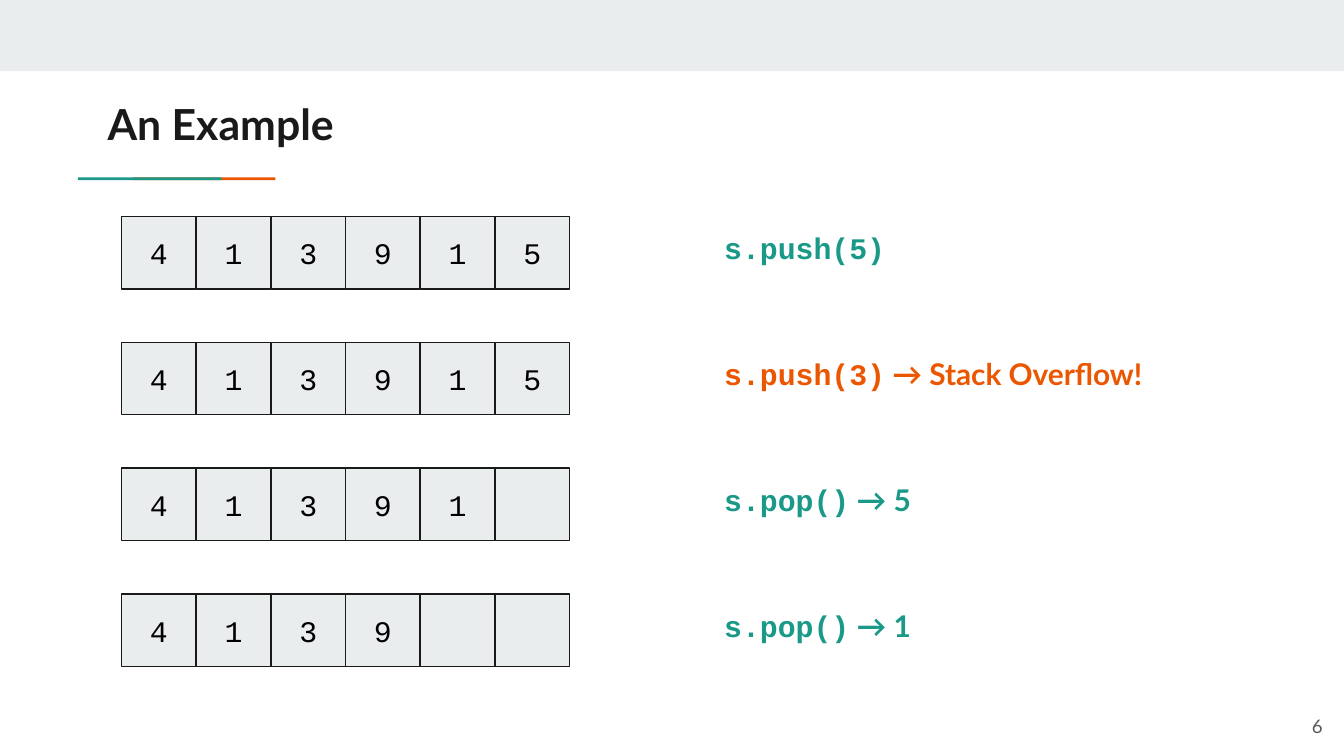
from pptx import Presentation
from pptx.dml.color import RGBColor
from pptx.enum.shapes import MSO_SHAPE as Shape
from pptx.enum.text import MSO_ANCHOR as Anchor, PP_ALIGN as Align
from pptx.util import Inches, Pt

TEAL, ORANGE, INK, PALE = "1A9988", "EB5600", "1A1A1A", "E9EDEE"
SANS, MONO = "Lato", "Courier New"
WIDTH = 10
HEIGHT = WIDTH * 9 / 16

TITLE = "An Example"
PAGE = "6"
CAPACITY = 6
STEPS = [
    ("413915", "s.push(5)", "", TEAL),
    ("413915", "s.push(3)", " → Stack Overflow!", ORANGE),
    ("41391", "s.pop()", " → 5", TEAL),
    ("4139", "s.pop()", " → 1", TEAL),
]
ACCENTS = [(0.99, 1.06, ORANGE), (0.58, 1.07, TEAL)]

CELL_PITCH = WIDTH / 18
STACK_LEFT = 1.46 - CELL_PITCH
FIRST_TOP, LAST_TOP = 1.61, 4.42
STEP_PITCH = (LAST_TOP - FIRST_TOP) / (len(STEPS) - 1)
CELL_HEIGHT = 0.54
CALL_LEFT, CALL_WIDTH = 5.29, 4.25


def color(value):
    return RGBColor.from_string(value)


def set_font(font, face, size, ink, bold=False):
    font.name, font.size, font.bold = face, Pt(size), bold
    font.color.rgb = color(ink)


def add_rect(shapes, left, top, width, height, fill, outline=None):
    rect = shapes.add_shape(Shape.RECTANGLE, *map(Inches, (left, top, width, height)))
    rect.shadow.inherit = False
    rect.fill.solid()
    rect.fill.fore_color.rgb = color(fill)
    if outline:
        rect.line.color.rgb = color(outline)
        rect.line.width = Pt(0.75)
    else:
        rect.line.fill.background()
    return rect


def set_frame(frame, side=0.1, anchor=Anchor.TOP, align=Align.LEFT):
    frame.word_wrap = True
    frame.margin_left = frame.margin_right = Inches(side)
    frame.margin_top = frame.margin_bottom = Inches(0.1)
    frame.vertical_anchor = anchor
    paragraph = frame.paragraphs[0]
    paragraph.alignment = align
    return paragraph


def add_text(shapes, left, top, width, height, **layout):
    box = shapes.add_textbox(*map(Inches, (left, top, width, height)))
    return set_frame(box.text_frame, **layout)


def add_step(slide, top, values, call, result, ink):
    shapes = slide.shapes.add_group_shape().shapes
    for column, value in enumerate(values.ljust(CAPACITY)):
        cell = add_rect(shapes, STACK_LEFT + column * CELL_PITCH, top,
                        CELL_PITCH, CELL_HEIGHT, PALE, INK)
        if value.strip():
            digit = set_frame(cell.text_frame, anchor=Anchor.MIDDLE, align=Align.CENTER)
            digit.text = value
            set_font(digit.font, MONO, 16, "000000")
    operation = add_text(shapes, CALL_LEFT, top, CALL_WIDTH, CELL_HEIGHT)
    for words, face in ((call, MONO), (result, SANS)):
        if words:
            run = operation.add_run()
            run.text = words
            set_font(run.font, face, 16, ink, bold=True)


def main():
    deck = Presentation()
    deck.slide_width, deck.slide_height = Inches(WIDTH), Inches(HEIGHT)
    slide = deck.slides.add_slide(deck.slide_layouts[6])

    add_rect(slide.shapes, 0, 0, WIDTH, 0.53, PALE)
    accents = slide.shapes.add_group_shape().shapes
    for left, width, fill in ACCENTS:
        add_rect(accents, left, 1.32, width, 0.02, fill)

    title = add_text(slide.shapes, 0.8, 0.63, 8.41, 0.59, side=0)
    title.text = TITLE
    set_font(title.font, SANS, 22.9, INK, bold=True)

    page = add_text(slide.shapes, 9.34, 5.19, 0.6, 0.43,
                    anchor=Anchor.MIDDLE, align=Align.RIGHT)
    page.text = PAGE
    set_font(page.font, SANS, 10, "595959")

    for row, step in enumerate(STEPS):
        add_step(slide, FIRST_TOP + row * STEP_PITCH, *step)

    deck.save("out.pptx")


if __name__ == "__main__":
    main()
